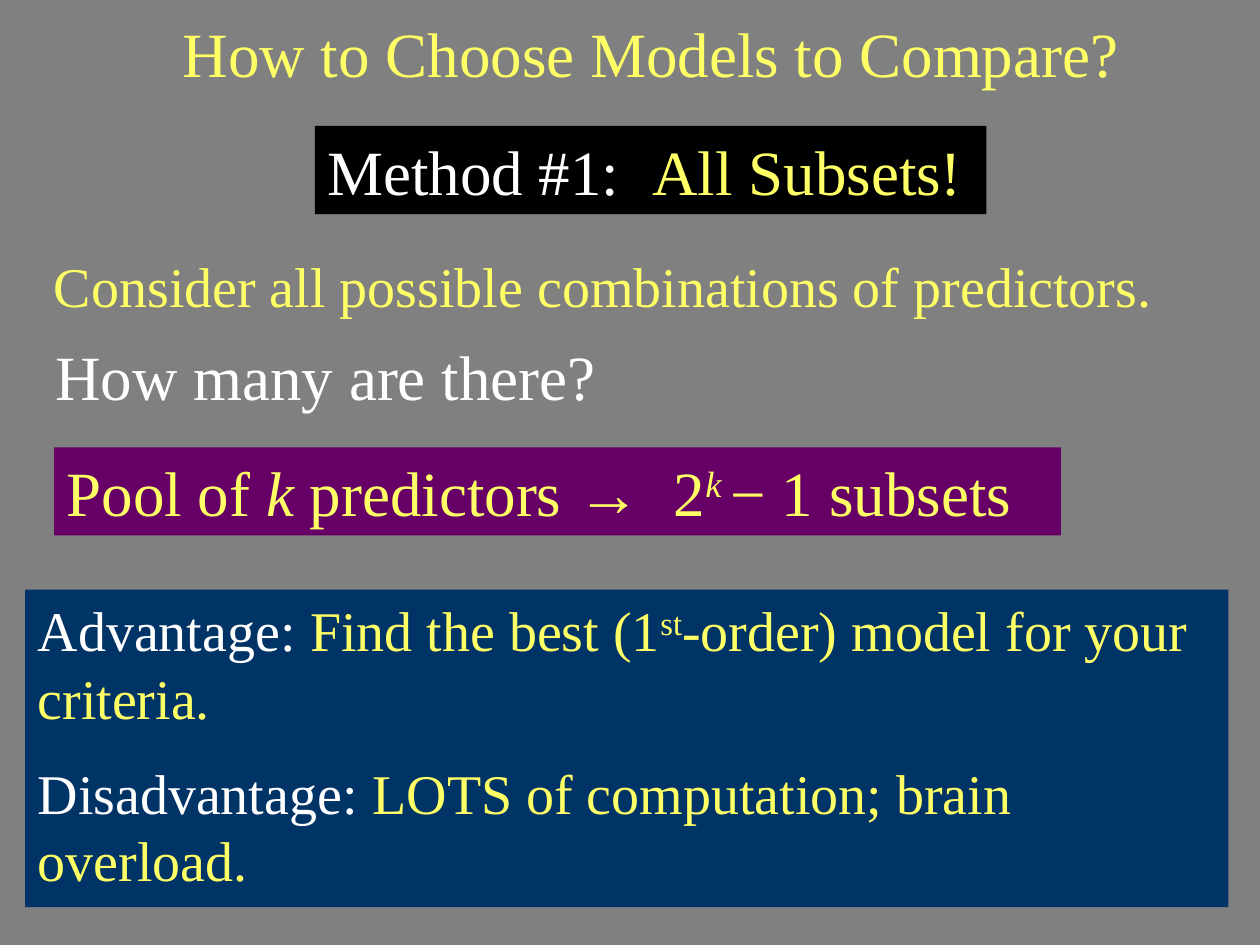
from dataclasses import dataclass

from pptx import Presentation
from pptx.dml.color import RGBColor
from pptx.enum.shapes import MSO_SHAPE
from pptx.enum.text import MSO_ANCHOR, PP_ALIGN
from pptx.util import Inches, Pt

RECTANGLE = MSO_SHAPE.RECTANGLE
TOP, MIDDLE = MSO_ANCHOR.TOP, MSO_ANCHOR.MIDDLE
LEFT, CENTER = PP_ALIGN.LEFT, PP_ALIGN.CENTER
FONT = "Times New Roman"
YELLOW, WHITE, GRAY = "FFFF66", "FFFFFF", "808080"
BLACK, PURPLE, NAVY = "000000", "660066", "003366"
TITLE_ONLY = 5


@dataclass
class Run:
    text: str
    color: str = ""
    italic: bool = False
    superscript: bool = False


@dataclass
class TextBlock:
    left: float
    top: float
    width: float
    height: float
    size: int
    color: str
    paragraphs: list[list[Run]]
    fill: str = ""


BLOCKS = [
    TextBlock(2.5, 1, 5.33, 0.7, 36, WHITE, [[Run("Method #1:")]], BLACK),
    TextBlock(0.33, 1.95, 9.67, 0.63, 32, YELLOW,
              [[Run("Consider all possible combinations of predictors.")]]),
    TextBlock(0.34, 2.63, 5.42, 0.7, 36, WHITE, [[Run("How many are there?")]]),
    TextBlock(0.43, 3.55, 7.99, 0.7, 36, YELLOW,
              [[Run("Pool of "), Run("k", italic=True), Run(" predictors →")]], PURPLE),
    TextBlock(5.25, 3.55, 3, 0.7, 36, YELLOW,
              [[Run("2"), Run("k ", italic=True, superscript=True), Run("− 1 subsets")]]),
    TextBlock(0.2, 4.68, 9.55, 2.52, 32, YELLOW, [
        [Run("Advantage:", WHITE), Run(" Find the best (1"), Run("st", superscript=True),
         Run("-order) model for your criteria.")],
        [Run("Disadvantage:", WHITE), Run(" LOTS of computation; brain overload.")],
    ], NAVY),
    TextBlock(5.08, 1, 3.17, 0.7, 36, YELLOW, [[Run("All Subsets!")]]),
]


def rgb(color: str) -> RGBColor:
    return RGBColor.from_string(color)


def format_paragraph(paragraph, size: int, color: str, alignment=LEFT) -> None:
    paragraph.alignment = alignment
    paragraph.font.name = FONT
    paragraph.font.size = Pt(size)
    paragraph.font.color.rgb = rgb(color)


def add_run(paragraph, part: Run) -> None:
    run = paragraph.add_run()
    run.text = part.text
    if part.color:
        run.font.color.rgb = rgb(part.color)
    if part.italic:
        run.font.italic = True
    if part.superscript:
        run.font._element.set("baseline", "30000")


def add_block(slide, block: TextBlock) -> None:
    box = [Inches(value) for value in (block.left, block.top, block.width, block.height)]
    if block.fill:
        shape = slide.shapes.add_shape(RECTANGLE, *box)
        shape.shadow.inherit = False
        shape.fill.solid()
        shape.fill.fore_color.rgb = rgb(block.fill)
        shape.line.fill.background()
    else:
        shape = slide.shapes.add_textbox(*box)
    frame = shape.text_frame
    frame.word_wrap = True
    frame.vertical_anchor = TOP
    for index, parts in enumerate(block.paragraphs):
        paragraph = frame.add_paragraph() if index else frame.paragraphs[0]
        format_paragraph(paragraph, block.size, block.color)
        paragraph.space_before = Pt(block.size / 2)
        for part in parts:
            add_run(paragraph, part)


def add_title(slide, text: str) -> None:
    title = slide.shapes.title
    title.left, title.top = Inches(0.33), Inches(0.08)
    title.width, title.height = Inches(9.67), Inches(0.67)
    title.text_frame.text = text
    title.text_frame.vertical_anchor = MIDDLE
    format_paragraph(title.text_frame.paragraphs[0], 36, YELLOW, CENTER)


def main() -> None:
    presentation = Presentation()
    presentation.slide_width, presentation.slide_height = Inches(10), Inches(7.5)
    slide = presentation.slides.add_slide(presentation.slide_layouts[TITLE_ONLY])
    slide.background.fill.solid()
    slide.background.fill.fore_color.rgb = rgb(GRAY)
    add_title(slide, "How to Choose Models to Compare?")
    for block in BLOCKS:
        add_block(slide, block)
    presentation.save("out.pptx")


if __name__ == "__main__":
    main()
